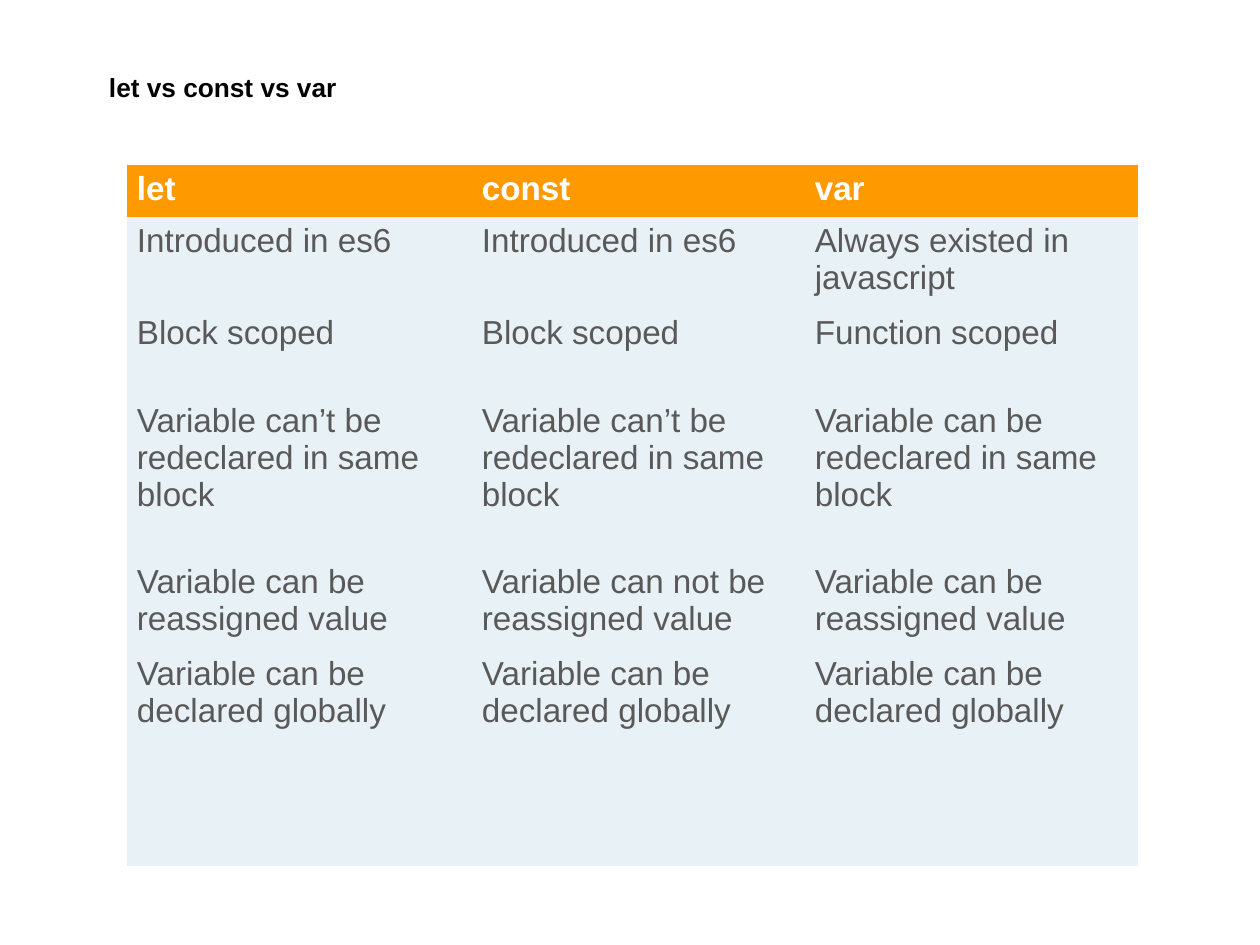
from pptx import Presentation
from pptx.dml.color import RGBColor
from pptx.util import Pt

TITLE = "let vs const vs var"
HEADER = ("let", "const", "var")
COMPARISON = [
    ("Introduced in es6", "Introduced in es6", "Always existed in javascript"),
    ("Block scoped", "Block scoped", "Function scoped"),
    ("Variable can’t be redeclared in same block",
     "Variable can’t be redeclared in same block",
     "Variable can be redeclared in same block"),
    ("Variable can be reassigned value", "Variable can not be reassigned value",
     "Variable can be reassigned value"),
    ("Variable can be declared globally",) * 3,
    ("", "", ""),
]
COLORS = {"title": "000000", "header_fill": "FF9900", "header_text": "FFFFFF",
          "body_fill": "E8F1F5", "body_text": "595959"}

EMU_PER_PX = 914400 // 126
SLIDE_SIZE = (1260, 945)
TITLE_BOX = (100, 62, 363, 50)
TABLE_CORNER = (127, 165)
COLUMN_WIDTHS = (345, 333, 333)
ROW_HEIGHTS = (50, 88, 88, 161, 86, 86, 125)
TITLE_INSET = 9
CELL_INSETS = {"margin_left": 10, "margin_right": 10,
               "margin_top": 6, "margin_bottom": 6}


def px(length):
    return length * EMU_PER_PX


def color(name):
    return RGBColor.from_string(COLORS[name])


def write(frame, text, size, color_name, bold):
    paragraph = frame.paragraphs[0]
    run = paragraph.add_run()
    run.text = text
    for attribute, value in {"name": "Arial", "size": Pt(size), "bold": bold}.items():
        setattr(run.font, attribute, value)
    run.font.color.rgb = color(color_name)


def add_title(slide):
    frame = slide.shapes.add_textbox(*map(px, TITLE_BOX)).text_frame
    frame.word_wrap = True
    for margin in CELL_INSETS:
        setattr(frame, margin, px(TITLE_INSET))
    write(frame, TITLE, 15, "title", True)


def add_comparison(slide):
    rows = [HEADER, *COMPARISON]
    table = slide.shapes.add_table(
        len(rows), len(HEADER), *map(px, TABLE_CORNER),
        px(sum(COLUMN_WIDTHS)), px(sum(ROW_HEIGHTS))).table
    for column, width in zip(table.columns, COLUMN_WIDTHS):
        column.width = px(width)
    for row, height in zip(table.rows, ROW_HEIGHTS):
        row.height = px(height)
    # The plain style has no borders or bands
    table._tbl.tblPr.find("{*}tableStyleId").text = "{2D5ABB26-0587-4C30-8999-92F81FD0307C}"
    table.horz_banding = False

    for r, texts in enumerate(rows):
        part = "body" if r else "header"
        for c, text in enumerate(texts):
            cell = table.cell(r, c)
            cell.fill.solid()
            cell.fill.fore_color.rgb = color(f"{part}_fill")
            for margin, inset in CELL_INSETS.items():
                setattr(cell, margin, px(inset))
            if text:
                write(cell.text_frame, text, 19, f"{part}_text", r == 0)


def main():
    deck = Presentation()
    deck.slide_width, deck.slide_height = map(px, SLIDE_SIZE)
    slide = deck.slides.add_slide(deck.slide_layouts[6])
    add_title(slide)
    add_comparison(slide)
    deck.save("out.pptx")


if __name__ == "__main__":
    main()
